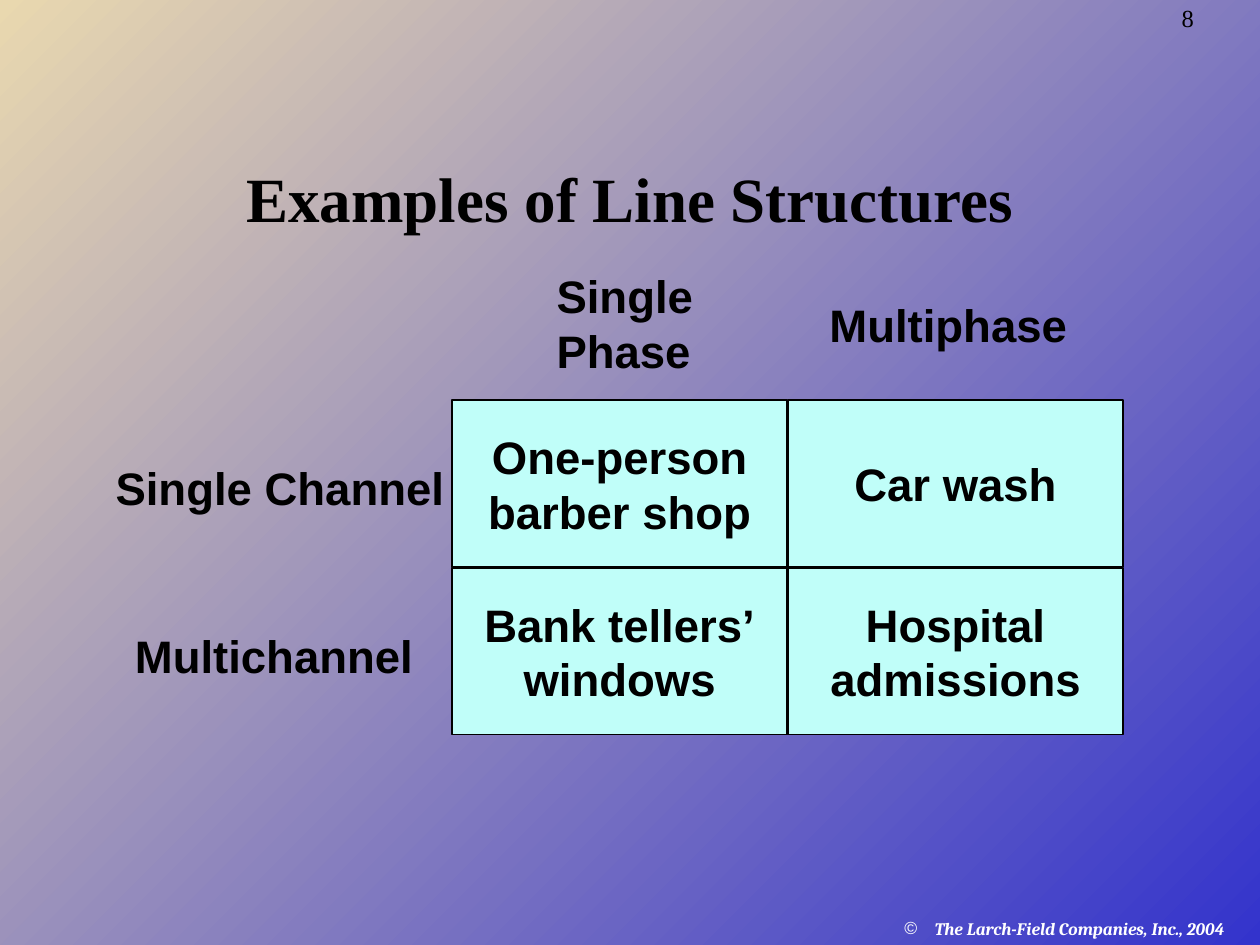
from dataclasses import dataclass

from lxml import etree
from pptx import Presentation
from pptx.dml.color import RGBColor
from pptx.enum.shapes import MSO_SHAPE
from pptx.enum.text import MSO_ANCHOR, PP_ALIGN
from pptx.oxml.ns import qn
from pptx.util import Cm, Pt

RECTANGLE = MSO_SHAPE.RECTANGLE
MIDDLE, BOTTOM = MSO_ANCHOR.MIDDLE, MSO_ANCHOR.BOTTOM
CENTER = PP_ALIGN.CENTER
TITLE_ONLY = 5

COLORS = {
    "black": "000000",
    "white": "FFFFFF",
    "cell": "C0FEF9",
    "blue": "3333CC",
    "sand": "E9D8AF",
}

GRID_LEFT, GRID_TOP = 9.12, 8.07
CELL_WIDTH, CELL_HEIGHT = 6.75, 3.36
CELL_GAP = 0.02


@dataclass
class Style:
    size: float
    font: str
    color: str = "black"
    bold: bool = True
    italic: bool = False


@dataclass
class Label:
    text: str
    left: float
    top: float
    width: float
    height: float
    style: Style


HEADING = Style(26, "Arial")
TITLE = Style(36, "Times New Roman")
PAGE_NUMBER = Style(14, "Times New Roman", bold=False)
COPYRIGHT = Style(10, "Cambria", "white", italic=True)

HEADINGS = [
    Label("Single Channel", 2.08, 9.14, 7.4, 1.35, HEADING),
    Label("Multichannel", 2.47, 12.53, 6.4, 1.35, HEADING),
    Label("Single\nPhase", 10.97, 5.28, 3.6, 2.44, HEADING),
    Label("Multiphase", 16.47, 5.87, 5.6, 1.35, HEADING),
]
EXAMPLES = [
    ["One-person\nbarber shop", "Car wash"],
    ["Bank tellers’\nwindows", "Hospital\nadmissions"],
]


def color(name: str) -> RGBColor:
    return RGBColor.from_string(COLORS[name])


def write(text_frame, text: str, style: Style, alignment=None) -> None:
    text_frame.text = text
    for paragraph in text_frame.paragraphs:
        paragraph.alignment = alignment
        for run in paragraph.runs:
            run.font.size = Pt(style.size)
            run.font.name = style.font
            run.font.bold = style.bold
            run.font.italic = style.italic
            run.font.color.rgb = color(style.color)


def add_label(slide, label: Label):
    box = slide.shapes.add_textbox(
        Cm(label.left), Cm(label.top), Cm(label.width), Cm(label.height))
    box.text_frame.word_wrap = True
    write(box.text_frame, label.text, label.style)
    return box


def add_cell(group, row: int, column: int, text: str) -> None:
    cell = group.shapes.add_shape(
        RECTANGLE,
        Cm(GRID_LEFT + column * (CELL_WIDTH + CELL_GAP)),
        Cm(GRID_TOP + row * (CELL_HEIGHT + CELL_GAP)),
        Cm(CELL_WIDTH), Cm(CELL_HEIGHT))
    cell.shadow.inherit = False
    cell.fill.solid()
    cell.fill.fore_color.rgb = color("cell")
    cell.line.color.rgb = color("black")
    cell.line.width = Pt(1)
    cell.text_frame.word_wrap = False
    cell.text_frame.vertical_anchor = MIDDLE
    write(cell.text_frame, text, HEADING, CENTER)


def set_bullet(paragraph, character: str, color_name: str, indent: float) -> None:
    properties = paragraph._p.get_or_add_pPr()
    properties.set("marL", str(Cm(indent)))
    properties.set("indent", str(-Cm(indent)))
    bullet_color = etree.SubElement(properties, qn("a:buClr"))
    etree.SubElement(bullet_color, qn("a:srgbClr"), val=COLORS[color_name])
    etree.SubElement(properties, qn("a:buFont"), typeface="Arial")
    etree.SubElement(properties, qn("a:buChar"), char=character)


def paint_background(slide) -> None:
    fill = slide.background.fill
    fill.gradient()
    fill.gradient_angle = 135
    for stop, name in zip(fill.gradient_stops, ("blue", "sand")):
        stop.color.rgb = color(name)


def add_title(slide, text: str) -> None:
    title = slide.shapes.title
    title.left, title.top = Cm(1.9), Cm(1.7)
    title.width, title.height = Cm(21.6), Cm(3.17)
    title.text_frame.vertical_anchor = BOTTOM
    write(title.text_frame, text, TITLE, CENTER)


def main() -> None:
    presentation = Presentation()
    presentation.slide_width, presentation.slide_height = Cm(25.4), Cm(19.05)
    slide = presentation.slides.add_slide(presentation.slide_layouts[TITLE_ONLY])
    paint_background(slide)

    copyright_box = add_label(slide, Label(
        "The Larch-Field Companies, Inc., 2004",
        17.98, 18.39, 7.42, 0.66, COPYRIGHT))
    set_bullet(copyright_box.text_frame.paragraphs[0], "©", "white", 0.61)
    page_number = add_label(slide, Label("8", 23.57, 0, 1.8, 0.79, PAGE_NUMBER))
    page_number.text_frame.paragraphs[0].line_spacing = 0.9

    add_title(slide, "Examples of Line Structures")
    for heading in HEADINGS:
        add_label(slide, heading)
    grid = slide.shapes.add_group_shape()
    for row, texts in enumerate(EXAMPLES):
        for column, text in enumerate(texts):
            add_cell(grid, row, column, text)

    presentation.save("out.pptx")


if __name__ == "__main__":
    main()
